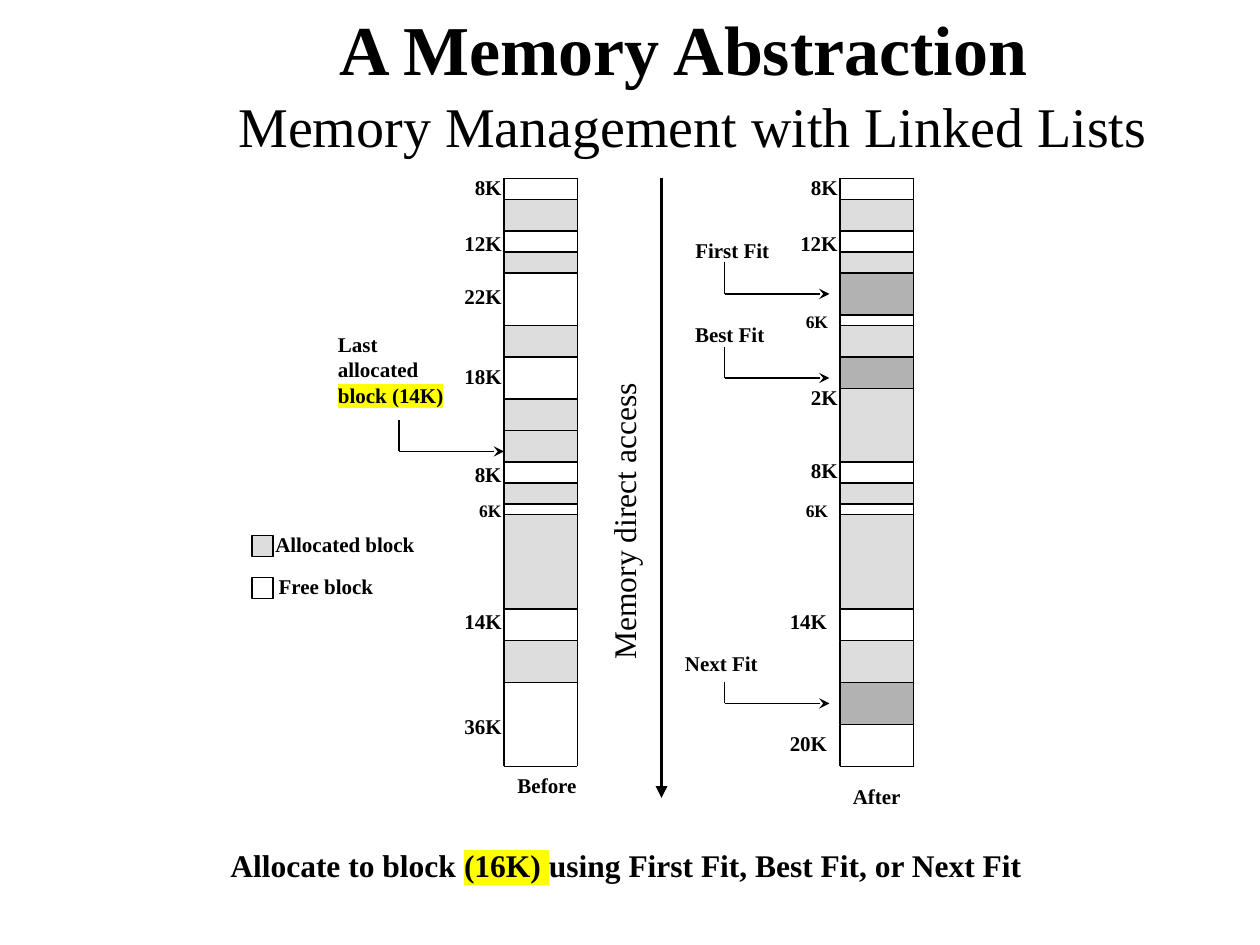
from lxml.etree import SubElement
from pptx import Presentation
from pptx.dml.color import RGBColor
from pptx.enum.shapes import MSO_CONNECTOR as Connector, MSO_SHAPE as Shape
from pptx.enum.text import MSO_ANCHOR as Anchor, MSO_AUTO_SIZE as AutoSize, PP_ALIGN as Align
from pptx.oxml.ns import qn
from pptx.util import Cm, Pt

COLORS = {
    "ink": "000000",
    "free": "FFFFFF",
    "allocated": "DDDDDD",
    "new": "B2B2B2",
    "highlight": "FFFF00",
}
FONT = "Times New Roman"
GRID = 2.54 / 12  # all positions are counted in twelfths of an inch
COLUMN_TOP, COLUMN_WIDTH = 17, 7
BEFORE_LEFT, AFTER_LEFT = 48, 80

BEFORE = [
    ("free", 2), ("allocated", 3), ("free", 2), ("allocated", 2), ("free", 5),
    ("allocated", 3), ("free", 4), ("allocated", 6), ("free", 2), ("allocated", 2),
    ("free", 1), ("allocated", 9), ("free", 3), ("allocated", 4), ("free", 8),
]
AFTER = [
    ("free", 2), ("allocated", 3), ("free", 2), ("allocated", 2), ("new", 4),
    ("free", 1), ("allocated", 3), ("new", 3), ("allocated", 7), ("free", 2),
    ("allocated", 2), ("free", 1), ("allocated", 9), ("free", 3), ("allocated", 4),
    ("new", 4), ("free", 4),
]
# text, left, top, width, size
SIZE_LABELS = [
    ("8K", 44, 16, 5, 12), ("12K", 43, 21.4, 6, 12), ("22K", 43, 26.4, 6, 12),
    ("18K", 43, 34, 6, 12), ("8K", 44, 43.4, 5, 12), ("6K", 44.4, 47, 4.6, 10),
    ("14K", 43, 57.4, 6, 12), ("36K", 43, 67.4, 6, 12),
    ("8K", 76, 16, 5, 12), ("12K", 75, 21.4, 6, 12), ("6K", 75.5, 29, 4.6, 10),
    ("2K", 76, 36, 5, 12), ("8K", 76, 43, 5, 12), ("6K", 75.5, 47, 4.6, 10),
    ("14K", 74, 57.4, 6, 12), ("20K", 74, 69, 6, 12),
]
# text, left, top, width
CAPTIONS = [
    ("Before", 48, 73, 8.2), ("After", 80, 74, 7),
    ("First Fit", 65, 22, 9.5), ("Best Fit", 65, 30, 9), ("Next Fit", 64, 61.4, 9.4),
    ("Allocated block", 25, 50, 15.7), ("Free block", 25.3, 54, 11.5),
]
# left, top, height, right
POINTERS = [(38, 40, 3, 48), (69, 25, 3, 79), (69, 33, 3, 79), (69, 65, 2, 79)]


def grid(*counts):
    return [Cm(count * GRID) for count in counts]


def color(name):
    return RGBColor.from_string(COLORS[name])


def add_block(slide, kind, left, top, width, height):
    block = slide.shapes.add_shape(Shape.RECTANGLE, *grid(left, top, width, height))
    block.shadow.inherit = False
    block.fill.solid()
    block.fill.fore_color.rgb = color(kind)
    block.line.color.rgb = color("ink")
    block.line.width = Pt(1)


def add_line(slide, start, end, width=1, head=None):
    line = slide.shapes.add_connector(Connector.STRAIGHT, *grid(*start, *end))
    line.line.color.rgb = color("ink")
    line.line.width = Pt(width)
    properties = line.element.spPr
    if head:
        SubElement(properties.find(qn("a:ln")), qn("a:tailEnd"), type=head)
    SubElement(properties, qn("a:effectLst"))


def add_pointer(slide, left, top, height, right):
    """Draw a line down and then an arrow to the right."""
    corner = (left, top + height)
    add_line(slide, (left, top), corner)
    add_line(slide, corner, (right, top + height), head="stealth")


def add_column(slide, left, blocks):
    """Stack the blocks; free ones are open outlines between the filled ones."""
    right = left + COLUMN_WIDTH
    top = COLUMN_TOP
    for kind, height in blocks:
        if kind == "free":
            for side in (left, right):
                add_line(slide, (side, top), (side, top + height))
        else:
            add_block(slide, kind, left, top, COLUMN_WIDTH, height)
        top += height
    for edge in (COLUMN_TOP, top):
        add_line(slide, (left, edge), (right, edge))


def add_run(paragraph, text, size, bold=True, highlight=False):
    run = paragraph.add_run()
    run.text = text
    run.font.size = Pt(size)
    run.font.bold = bold
    run.font.color.rgb = color("ink")
    if highlight:
        mark = SubElement(run.font.fill._xPr, qn("a:highlight"))
        SubElement(mark, qn("a:srgbClr"), val=COLORS["highlight"])
    run.font.name = FONT


def add_text(slide, box, paragraphs, align=Align.CENTER, wrap=False):
    """Add a text box; each paragraph is a list of add_run arguments."""
    text_box = slide.shapes.add_textbox(*grid(*box))
    frame = text_box.text_frame
    frame.word_wrap = wrap
    frame.auto_size = AutoSize.SHAPE_TO_FIT_TEXT
    for index, runs in enumerate(paragraphs):
        paragraph = frame.add_paragraph() if index else frame.paragraphs[0]
        paragraph.alignment = align
        for run in runs:
            add_run(paragraph, *run)
    return text_box


def add_title(slide):
    title = add_text(slide, (12, 0, 108, 15), [[("A Memory Abstraction", 40), (" ", 44)]], wrap=True)
    frame = title.text_frame
    frame.auto_size = AutoSize.NONE
    frame.vertical_anchor = Anchor.MIDDLE
    frame.paragraphs[0].add_line_break()
    add_run(frame.paragraphs[0], "Memory Management with Linked Lists", 32, False)


def main():
    presentation = Presentation()
    presentation.slide_width, presentation.slide_height = Cm(25.4), Cm(19.05)
    slide = presentation.slides.add_slide(presentation.slide_layouts[6])

    add_title(slide)
    add_column(slide, BEFORE_LEFT, BEFORE)
    add_line(slide, (BEFORE_LEFT, 41), (BEFORE_LEFT + COLUMN_WIDTH, 41))
    add_column(slide, AFTER_LEFT, AFTER)
    for pointer in POINTERS:
        add_pointer(slide, *pointer)
    for kind, top in (("allocated", 51), ("free", 55)):
        add_block(slide, kind, 24, top, 2, 2)

    for text, left, top, width, size in SIZE_LABELS:
        add_text(slide, (left, top, width, 3.6), [[(text, size)]])
    for text, left, top, width in CAPTIONS:
        add_text(slide, (left, top, width, 3.6), [[(text, 12)]])
    last_block = [[("Last", 12)], [("allocated", 12)], [("block (14K)", 12, True, True)]]
    add_text(slide, (31, 31, 12.6, 8.5), last_block, Align.LEFT)

    task = [
        ("Allocate to block ", 18),
        ("(16K) ", 18, True, True),
        ("using First Fit, Best Fit, or Next Fit ", 18),
    ]
    add_text(slide, (18, 80, 84, 4.8), [task], wrap=True)
    add_line(slide, (63, COLUMN_TOP), (63, 76), 2.25, "triangle")
    access = add_text(
        slide, (39.4, 41.6, 40, 4.8), [[("Memory direct access", 18, False)]], Align.LEFT, True
    )
    access.rotation = 270

    presentation.save("out.pptx")


if __name__ == "__main__":
    main()
